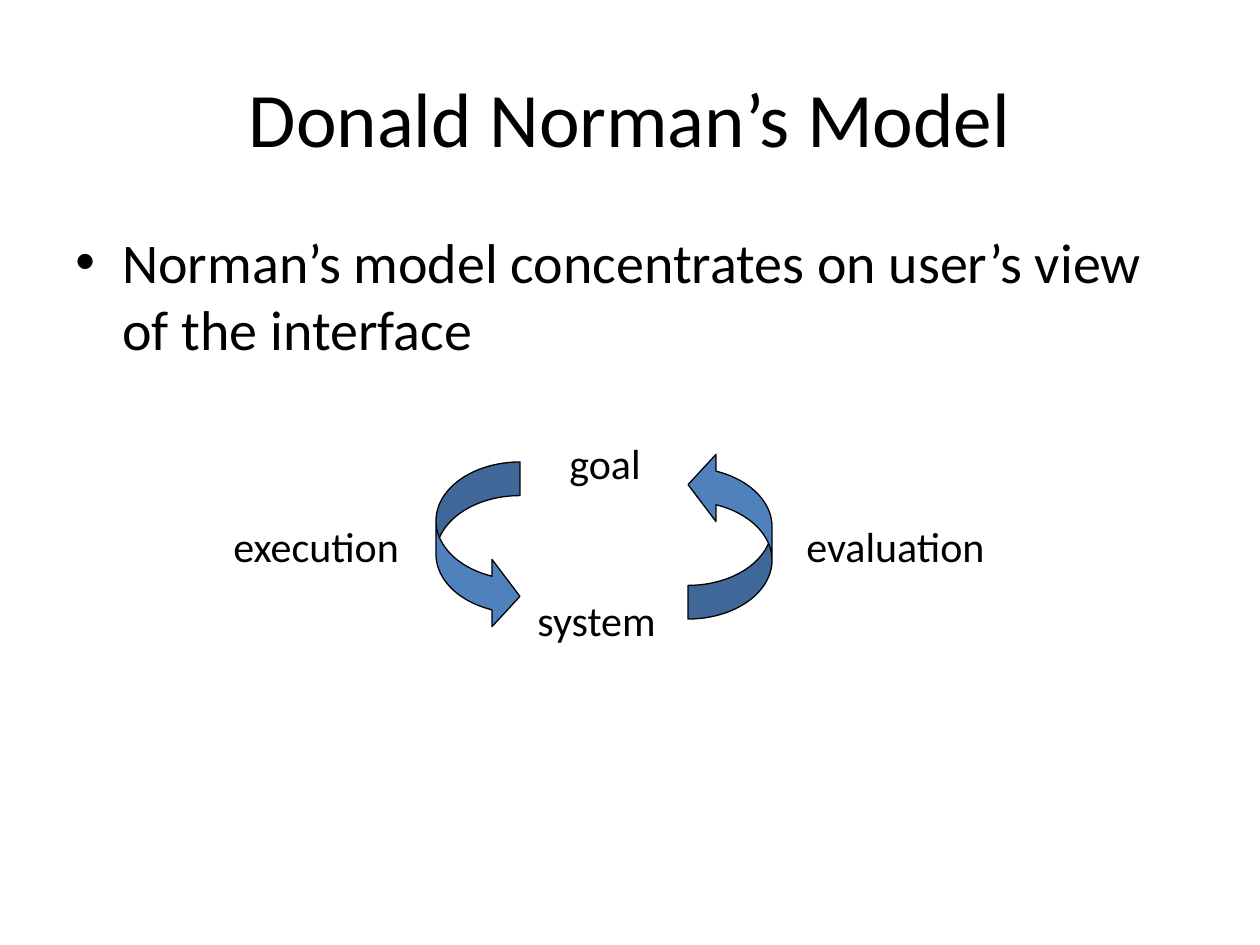
from pptx import Presentation
from pptx.dml.color import RGBColor
from pptx.enum.shapes import MSO_SHAPE
from pptx.enum.text import MSO_ANCHOR, PP_ALIGN
from pptx.oxml.ns import qn
from pptx.util import Pt

# Content: boxes are left, top, width, height in px
TITLE = ("Donald Norman’s Model", (63, 38, 1134, 157))
BODY = ("Norman’s model concentrates on user’s view of the interface",
        (63, 221, 1134, 623))
LABELS = [
    ("goal", (557, 431, 105, 63)),
    ("execution", (221, 514, 205, 63)),
    ("evaluation", (794, 514, 217, 63)),
    ("system", (525, 588, 159, 63)),
]
ARROWS = [  # box, rotation
    ((436, 462, 84, 168), 0),
    ((688, 451, 84, 168), 180),
]
BENDS = (0.4, 0.8, 0.333)
COLORS = {"text": "000000", "arrow": "4F81BD", "line": "000000"}
FONT = "Calibri"
INDENT = 47


def px(n):
    return round(n * 914400 / 126)


def color(name):
    return RGBColor.from_string(COLORS[name])


def add_text(slide, text, box, size, wrap=True):
    frame = slide.shapes.add_textbox(*map(px, box)).text_frame
    frame.word_wrap = wrap
    para = frame.paragraphs[0]
    para.text = text
    para.font.name = FONT
    para.font.size = Pt(size)
    para.font.color.rgb = color("text")
    return frame


def add_bullet(para):
    props = para._p.get_or_add_pPr()
    props.set("marL", str(px(INDENT)))
    props.set("indent", str(-px(INDENT)))
    font = props.makeelement(qn("a:buFont"), {"typeface": "Arial"})
    mark = props.makeelement(qn("a:buChar"), {"char": "•"})
    props.insert(0, font)
    props.insert(1, mark)


def add_arrow(slide, box, turn):
    arrow = slide.shapes.add_shape(MSO_SHAPE.CURVED_RIGHT_ARROW, *map(px, box))
    for i, bend in enumerate(BENDS):
        arrow.adjustments[i] = bend
    arrow.rotation = turn
    arrow.shadow.inherit = False
    arrow.fill.solid()
    arrow.fill.fore_color.rgb = color("arrow")
    arrow.line.color.rgb = color("line")
    arrow.line.width = Pt(0.75)


def main():
    deck = Presentation()
    deck.slide_width, deck.slide_height = px(1260), px(945)
    slide = deck.slides.add_slide(deck.slide_layouts[6])

    # Title and bullet
    title = add_text(slide, *TITLE, 44)
    title.vertical_anchor = MSO_ANCHOR.MIDDLE
    title.paragraphs[0].alignment = PP_ALIGN.CENTER
    add_bullet(add_text(slide, *BODY, 32).paragraphs[0])

    # Cycle between goal and system
    for box, turn in ARROWS:
        add_arrow(slide, box, turn)
    for text, box in LABELS:
        add_text(slide, text, box, 24, wrap=False)

    deck.save("out.pptx")


if __name__ == "__main__":
    main()
